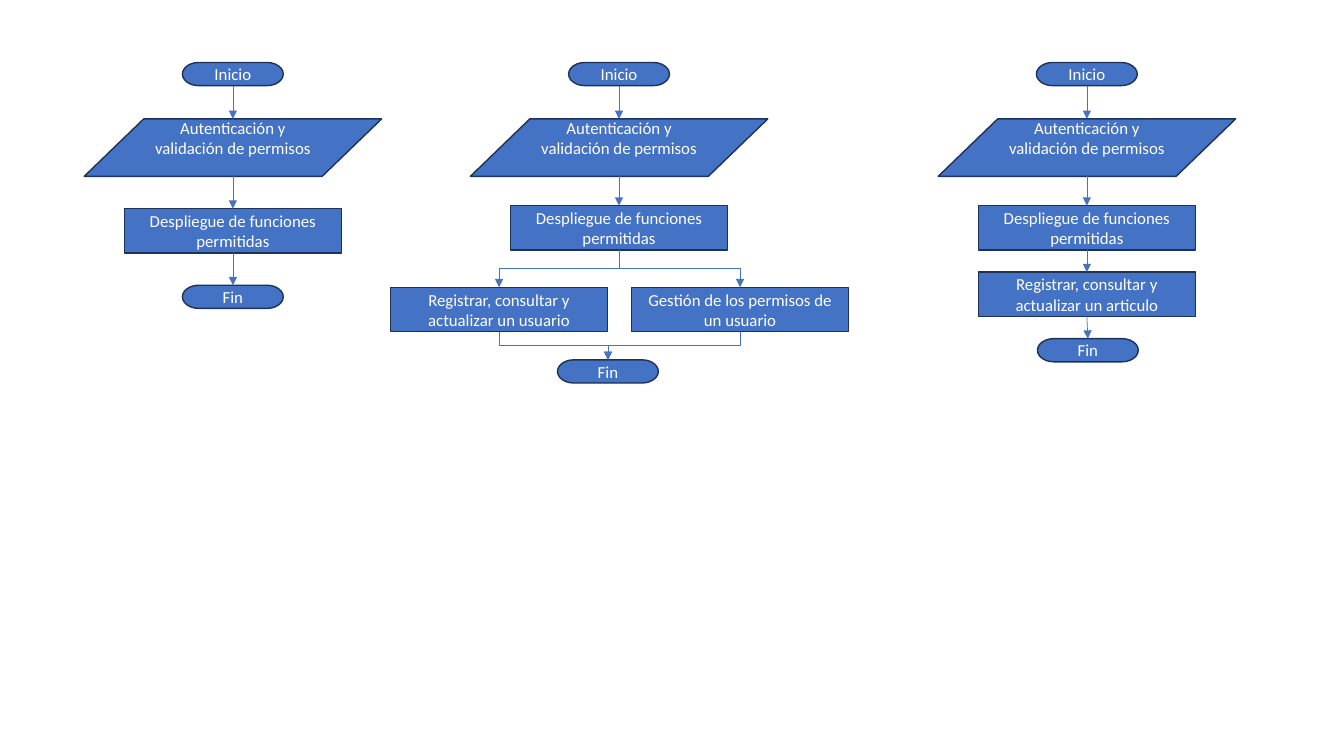
from lxml import etree
from pptx import Presentation
from pptx.dml.color import RGBColor
from pptx.enum import shapes, text
from pptx.oxml import ns
from pptx.util import Inches, Pt

BLUE = RGBColor(0x44, 0x72, 0xC4)
NAVY = RGBColor(0x1E, 0x32, 0x56)
WHITE = RGBColor(0xFF, 0xFF, 0xFF)

KINDS = {
    "terminator": (shapes.MSO_SHAPE.FLOWCHART_TERMINATOR, 1, 0.23),
    "input": (shapes.MSO_SHAPE.FLOWCHART_DATA, 2.95, 0.57),
    "process": (shapes.MSO_SHAPE.FLOWCHART_PROCESS, 2.15, 0.44),
}
START = ("terminator", "Inicio", 0.62)
LOGIN = ("input", "Autenticación y validación de permisos", 1.18)
FUNCTIONS = "Despliegue de funciones permitidas"

FLOWS = [
    {
        "center": 2.31,
        "steps": [START, LOGIN, ("process", FUNCTIONS, 2.07), ("terminator", "Fin", 2.83)],
        "links": [(0, 1), (1, 2), (2, 3)],
    },
    {
        "center": 6.14,
        "steps": [
            START,
            LOGIN,
            ("process", FUNCTIONS, 2.04),
            ("process", "Registrar, consultar y actualizar un usuario", 2.85, -1.19),
            ("process", "Gestión de los permisos de un usuario", 2.85, 1.2),
            ("terminator", "Fin", 3.57, -0.11),
        ],
        "links": [(0, 1), (1, 2), (2, 3), (2, 4), (4, 5), (3, 5)],
    },
    {
        "center": 10.78,
        "steps": [
            START,
            LOGIN,
            ("process", FUNCTIONS, 2.04),
            ("process", "Registrar, consultar y actualizar un articulo", 2.7),
            ("terminator", "Fin", 3.36, 0.01),
        ],
        "links": [(0, 1), (1, 2), (2, 3), (3, 4)],
    },
]


def add_step(slide, center, kind, label, top, offset=0):
    preset, width, height = KINDS[kind]
    x = center + offset
    shape = slide.shapes.add_shape(
        preset, Inches(x - width / 2), Inches(top), Inches(width), Inches(height)
    )
    shape.shadow.inherit = False
    shape.fill.solid()
    shape.fill.fore_color.rgb = BLUE
    shape.line.color.rgb = NAVY
    shape.line.width = Pt(1)
    frame = shape.text_frame
    frame.word_wrap = True
    frame.vertical_anchor = text.MSO_ANCHOR.MIDDLE
    if kind == "input":
        frame.margin_bottom = Inches(0.25)
    paragraph = frame.paragraphs[0]
    paragraph.text = label
    paragraph.alignment = text.PP_ALIGN.CENTER
    paragraph.font.name = "Calibri"
    paragraph.font.size = Pt(12)
    paragraph.font.color.rgb = WHITE
    return x, top, top + height


def add_arrow(slide, source, target):
    x1, _, y1 = source
    x2, y2, _ = target
    bent = abs(x2 - x1) > 0.05
    kind = shapes.MSO_CONNECTOR.STRAIGHT
    ends = (x1, y1, x2, y2)
    if bent:
        kind = shapes.MSO_CONNECTOR.ELBOW
        middle_x, middle_y = (x1 + x2) / 2, (y1 + y2) / 2
        half_run = (y2 - y1) / 2
        half_rise = abs(x2 - x1) / 2
        if x2 > x1:
            half_run = -half_run
        ends = (
            middle_x - half_run,
            middle_y - half_rise,
            middle_x + half_run,
            middle_y + half_rise,
        )
    connector = slide.shapes.add_connector(kind, *map(Inches, ends))
    connector.line.color.rgb = BLUE
    connector.line.width = Pt(0.5)
    properties = connector._element.spPr
    if bent:
        degrees = 270 if x2 > x1 else 90
        properties.find(ns.qn("a:xfrm")).set("rot", str(degrees * 60000))
    etree.SubElement(properties.find(ns.qn("a:ln")), ns.qn("a:tailEnd"), type="triangle")
    etree.SubElement(properties, ns.qn("a:effectLst"))


def main():
    presentation = Presentation()
    presentation.slide_width = Inches(13.33)
    presentation.slide_height = Inches(7.5)
    slide = presentation.slides.add_slide(presentation.slide_layouts[6])
    for flow in FLOWS:
        steps = [add_step(slide, flow["center"], *step) for step in flow["steps"]]
        for source, target in flow["links"]:
            add_arrow(slide, steps[source], steps[target])
    presentation.save("out.pptx")


if __name__ == "__main__":
    main()
